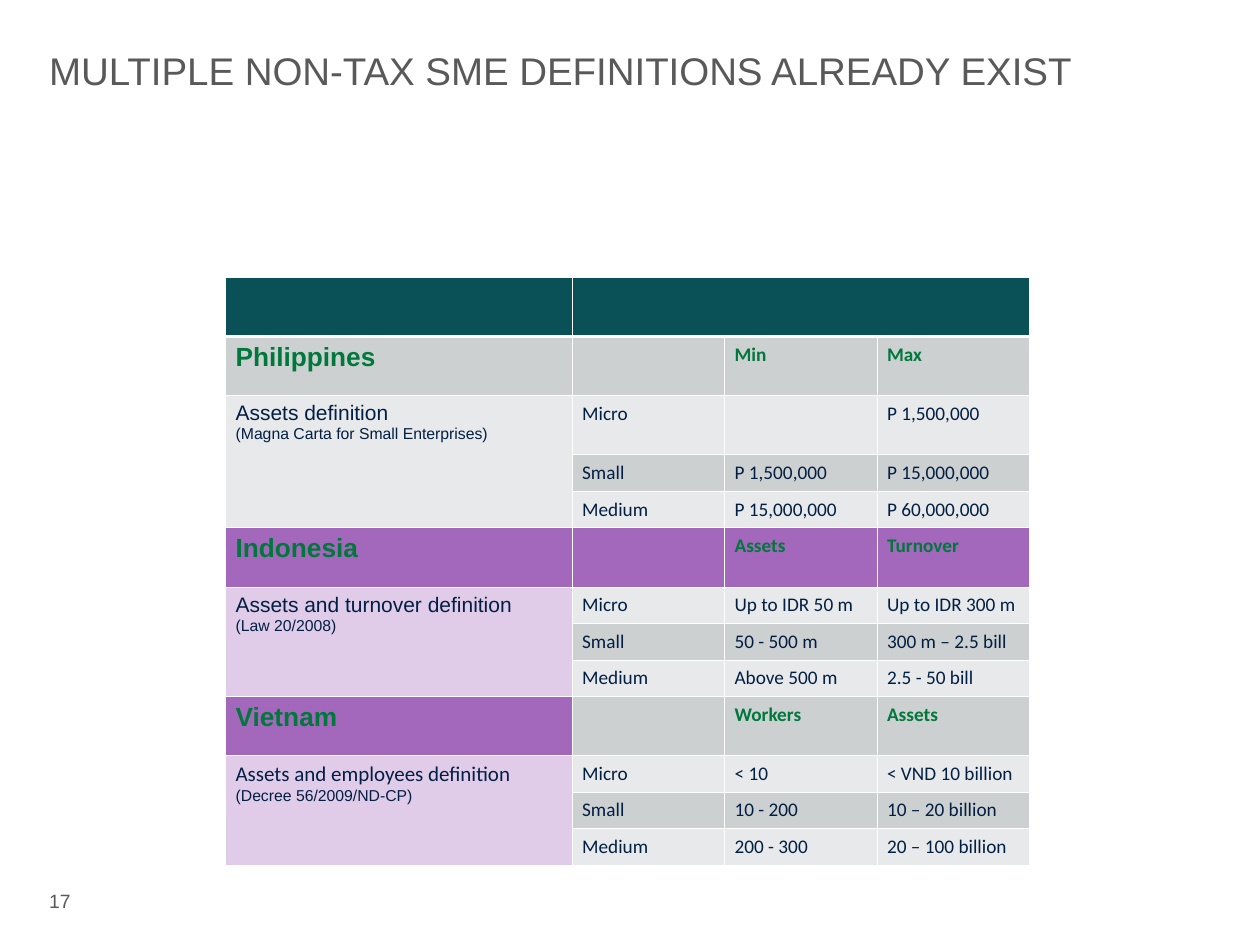
from lxml.etree import SubElement
from pptx import Presentation
from pptx.dml.color import RGBColor
from pptx.enum.text import MSO_ANCHOR as Anchor
from pptx.oxml.ns import qn
from pptx.util import Inches, Pt

GREY, NAVY, GREEN, WHITE = "595959", "021F43", "00783C", "FFFFFF"
TEAL, SILVER, PALE, PURPLE, LILAC = "0A5157", "CCD0D1", "E7E9EA", "A367BB", "E0CCE8"
TALL, SHORT = 0.47, 0.29


def rgb(color):
    return RGBColor.from_string(color)


class Deck:
    head, body = "Arial", "Calibri"
    thin, thick = 0.45, 1.47

    def __init__(self, prs):
        self.s = prs.slides.add_slide(prs.slide_layouts[6])

    def run(self, p, text, size, color, font, bold=False):
        r = p.add_run()
        r.text = text
        r.font.size, r.font.name, r.font.bold = Pt(size), font, bold
        r.font.color.rgb = rgb(color)

    def text(self, box, text, size, top=0, anchor=Anchor.TOP):
        tf = self.s.shapes.add_textbox(*map(Inches, box)).text_frame
        tf.word_wrap = True
        tf.vertical_anchor = anchor
        tf.margin_left = tf.margin_right = tf.margin_bottom = 0
        tf.margin_top = Inches(top)
        self.run(tf.paragraphs[0], text, size, GREY, self.head)

    def table(self, left, top, widths, heights):
        tbl = self.s.shapes.add_table(
            len(heights), len(widths), Inches(left), Inches(top),
            Inches(sum(widths)), Inches(sum(heights))).table
        for col, width in zip(tbl.columns, widths):
            col.width = Inches(width)
        for row, height in zip(tbl.rows, heights):
            row.height = Inches(height)
        return tbl

    def cell(self, cell, fill, lines=(), top=thin, bottom=thin):
        """Each line is (text, size, color, font, bold)."""
        cell.margin_left = cell.margin_right = Inches(0.08)
        cell.margin_top = cell.margin_bottom = Inches(0.05)
        edges = {"L": self.thin, "R": self.thin, "T": top, "B": bottom}
        for side, width in edges.items():
            ln = SubElement(cell._tc.get_or_add_tcPr(), qn(f"a:ln{side}"), w=str(Pt(width)))
            SubElement(SubElement(ln, qn("a:solidFill")), qn("a:srgbClr"), val=WHITE)
        cell.fill.solid()
        cell.fill.fore_color.rgb = rgb(fill)
        tf = cell.text_frame
        for i, line in enumerate(lines):
            self.run(tf.add_paragraph() if i else tf.paragraphs[0], *line)


# Country, its fill, heading fill, definition fill, definition, its font, source, headings, values
COUNTRIES = [
    ("Philippines", SILVER, SILVER, PALE, "Assets definition", Deck.head,
     "(Magna Carta for Small Enterprises)", ("Min", "Max"),
     [("", "P 1,500,000"), ("P 1,500,000", "P 15,000,000"), ("P 15,000,000", "P 60,000,000")]),
    ("Indonesia", PURPLE, PURPLE, LILAC, "Assets and turnover definition", Deck.head,
     "(Law 20/2008)", ("Assets", "Turnover"),
     [("Up to IDR 50 m", "Up to IDR 300 m"), ("50 - 500 m", "300 m – 2.5 bill"),
      ("Above 500 m", "2.5 - 50 bill")]),
    ("Vietnam", PURPLE, SILVER, LILAC, "Assets and employees definition", Deck.body,
     "(Decree 56/2009/ND-CP)", ("Workers", "Assets"),
     [("< 10", "< VND 10 billion"), ("10 - 200", "10 – 20 billion"),
      ("200 - 300", "20 – 100 billion")]),
]
SIZES = [("Micro", PALE), ("Small", SILVER), ("Medium", PALE)]


def main():
    prs = Presentation()
    prs.slide_width, prs.slide_height = Inches(10), Inches(7.5)
    deck = Deck(prs)

    # Title
    deck.text((0.39, 0.33, 9.25, 1.32), "MULTIPLE NON-TAX SME DEFINITIONS ALREADY EXIST", 22, top=0.04)

    # Table grid and header band
    heights = [TALL] + [TALL, SHORT, SHORT, SHORT] * len(COUNTRIES)
    heights[2] = TALL
    tbl = deck.table(1.79, 2.2, [2.75, 1.21, 1.21, 1.21], heights)
    for col in range(4):
        deck.cell(tbl.cell(0, col), TEAL, bottom=deck.thick)
    tbl.cell(0, 1).merge(tbl.cell(0, 3))

    # One block of four rows per country
    for i, (name, name_fill, head_fill, def_fill, definition, font,
            source, heads, values) in enumerate(COUNTRIES):
        row = 1 + 4 * i
        top = deck.thin if i else deck.thick
        deck.cell(tbl.cell(row, 0), name_fill, [(name, 15, GREEN, deck.head, True)], top)
        deck.cell(tbl.cell(row, 1), head_fill, top=top)
        for col, head in enumerate(heads, 2):
            deck.cell(tbl.cell(row, col), head_fill, [(head, 11, GREEN, deck.body, True)], top)

        notes = [(definition, 12, NAVY, font), (source, 9, NAVY, deck.head)]
        for j, ((size, fill), pair) in enumerate(zip(SIZES, values), 1):
            deck.cell(tbl.cell(row + j, 0), def_fill, notes if j == 1 else ())
            for col, text in enumerate((size, *pair), 1):
                lines = [(text, 11, NAVY, deck.body)] if text else ()
                deck.cell(tbl.cell(row + j, col), fill, lines)
        tbl.cell(row + 1, 0).merge(tbl.cell(row + 3, 0))

    # Page number
    deck.text((0.39, 6.95, 0.35, 0.4), "17", 11, anchor=Anchor.MIDDLE)

    prs.save("out.pptx")


if __name__ == "__main__":
    main()
